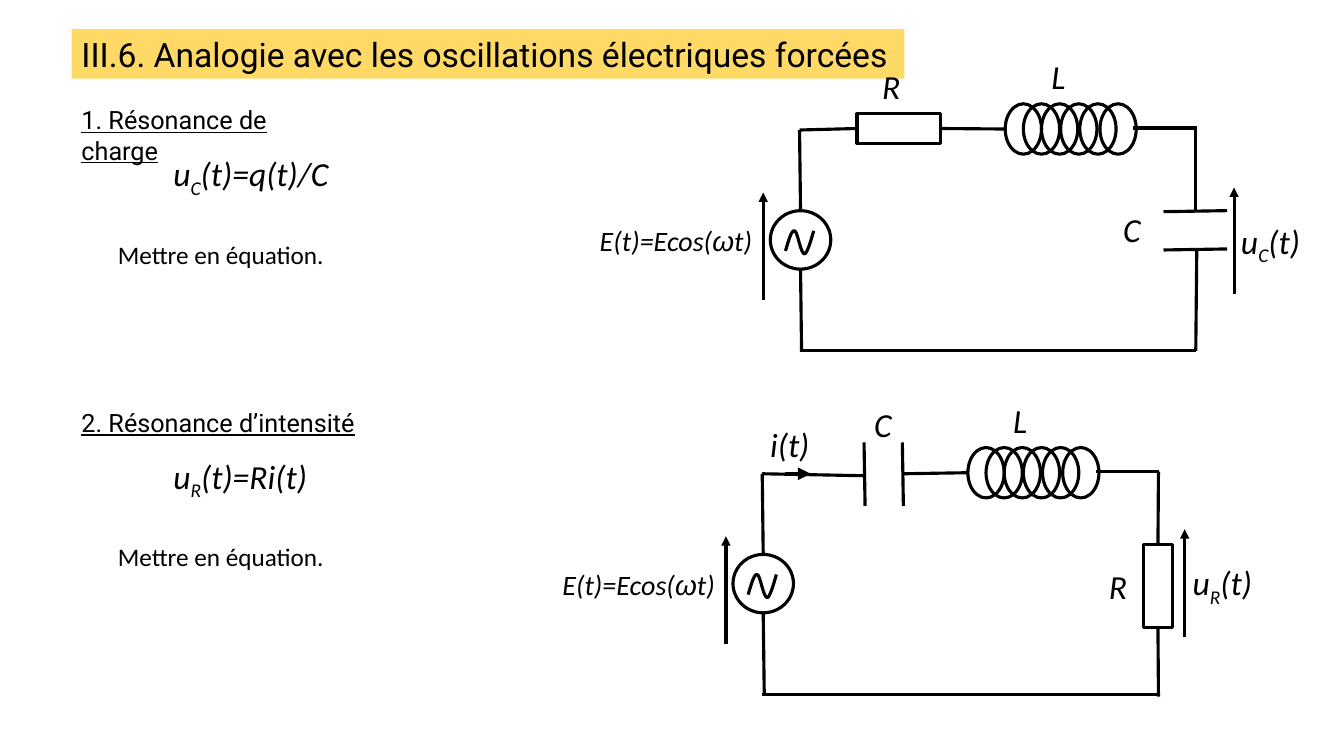
from lxml import etree
from pptx import Presentation
from pptx.dml.color import RGBColor
from pptx.enum.shapes import MSO_CONNECTOR, MSO_SHAPE
from pptx.oxml.ns import qn
from pptx.util import Inches, Pt

STRAIGHT = MSO_CONNECTOR.STRAIGHT
RECT, OVAL = MSO_SHAPE.RECTANGLE, MSO_SHAPE.OVAL
BLACK = RGBColor(0, 0, 0)
YELLOW = RGBColor(0xFF, 0xD9, 0x66)
TOP, LEFT, BOTTOM, RIGHT = range(4)

TITLE = "III.6. Analogie avec les oscillations électriques forcées"
HEADINGS = [
    (0.71, 0.99, 2.7, "1. Résonance de charge"),
    (0.71, 3.99, 3.0, "2. Résonance d’intensité"),
]
NOTES = [(1.07, y, 2.38, "Mettre en équation.") for y in (2.32, 5.32)]
SYMBOLS = [
    (8.65, 0.6, 0.49, ["R"]),
    (10.33, 0.51, 0.46, ["L"]),
    (11.04, 2.02, 0.51, ["C"]),
    (12.21, 2.14, 1.12, ["u", "C", "(t)"]),
    (1.62, 1.47, 2.19, ["u", "C", "(t)=q(t)/C"]),
    (10.9, 5.56, 0.49, ["R"]),
    (9.95, 3.92, 0.46, ["L"]),
    (8.57, 3.96, 0.51, ["C"]),
    (11.73, 5.53, 1.12, ["u", "R", "(t)"]),
    (1.62, 4.47, 1.92, ["u", "R", "(t)=Ri(t)"]),
    (7.54, 4.16, 0.7, ["i(t)"]),
]
SOURCE_LABEL = ["E(t)=Ecos(", "ω", "t)"]
CIRCUITS = [(0, 0), (-0.37, 3.41)]
COIL_X = [9.97, 10.15, 10.33, 10.52, 10.71, 10.91]
COMMON_WIRES = [
    ((7.94, 2.09), (7.93, 1.29)),
    ((7.95, 3.48), (7.94, 2.68)),
    ((11.87, 1.27), (11.24, 1.27)),
    ((7.93, 3.48), (11.86, 3.48)),
]
CAPACITOR_WIRES = [
    ((11.86, 2.09), (11.86, 1.27)),
    ((11.86, 3.48), (11.87, 2.48)),
    ((8.58, 4.72), (7.56, 4.7)),
    ((9.59, 4.69), (8.96, 4.7)),
]
PLATES = [
    ((12.17, 2.09), (11.54, 2.1)),
    ((12.17, 2.47), (11.54, 2.48)),
    ((8.57, 4.39), (8.58, 5.02)),
    ((8.95, 4.39), (8.96, 5.02)),
]
VOLTAGE_ARROWS = [((12.24, 2.92), (12.24, 1.86)), ((11.75, 6.32), (11.75, 5.25))]
CURRENT_ARROW = ((7.79, 4.7), (8.04, 4.7))
RESISTORS = [
    ((8.5, 1.13, 0.83, 0.29), [((7.93, 1.29), LEFT), ((9.97, 1.28), RIGHT)]),
    ((11.34, 5.4, 0.29, 0.83), [((11.49, 4.68), TOP), ((11.49, 6.91), BOTTOM)]),
]
SINE_START = (7.79, 2.49)
SINE_CURVES = [
    ((7.82, 2.39), (7.85, 2.28), (7.88, 2.29)),
    ((7.91, 2.29), (7.94, 2.52), (7.98, 2.52)),
    ((8.01, 2.52), (8.07, 2.29), (8.07, 2.29)),
]

prs = Presentation()
prs.slide_width, prs.slide_height = Inches(13.33), Inches(7.5)
s = prs.slides.add_slide(prs.slide_layouts[6])


def inches(*values):
    return [Inches(v) for v in values]


def outline(sp):
    sp.shadow.inherit = False
    sp.fill.background()
    sp.line.color.rgb = BLACK
    sp.line.width = Pt(2.25)
    return sp


def shape(parent, kind, x, y, w, h):
    return outline(parent.shapes.add_shape(kind, *inches(x, y, w, h)))


def line(start, end, dx=0, dy=0, width=2.25, arrow=False):
    points = inches(start[0] + dx, start[1] + dy, end[0] + dx, end[1] + dy)
    c = s.shapes.add_connector(STRAIGHT, *points)
    c.line.color.rgb = BLACK
    c.line.width = Pt(width)
    if arrow:
        etree.SubElement(c.line._get_or_add_ln(), qn("a:tailEnd"), type="triangle")
    etree.SubElement(c._element.spPr, qn("a:effectLst"))
    return c


def text(x, y, w, h, parts, size, font="Calibri", italic=False, underline=False):
    sp = s.shapes.add_textbox(*inches(x, y, w, h))
    tf = sp.text_frame
    tf.word_wrap = True
    for part in parts:
        r = tf.paragraphs[0].add_run()
        r.text = part
        r.font.size = Pt(size)
        r.font.name = font
        r.font.color.rgb = BLACK
        r.font.italic = italic
        r.font.underline = underline
    return sp


def bezier(p0, p1, p2, p3, steps=8):
    for i in range(1, steps + 1):
        t = i / steps
        u = 1 - t
        yield tuple(u**3 * a + 3 * u * u * t * b + 3 * u * t * t * c + t**3 * d
                    for a, b, c, d in zip(p0, p1, p2, p3))


def sine(dx, dy):
    points, start = [], SINE_START
    for curve in SINE_CURVES:
        points += bezier(start, *curve)
        start = curve[-1]
    x, y = inches(SINE_START[0] + dx, SINE_START[1] + dy)
    fb = s.shapes.build_freeform(x, y)
    fb.add_line_segments([inches(px + dx, py + dy) for px, py in points], close=False)
    outline(fb.convert_to_shape())


def circuit(dx, dy):
    shape(s, OVAL, 7.64 + dx, 2.09 + dy, 0.6, 0.58)
    sine(dx, dy)
    coil = s.shapes.add_group_shape()
    for x in COIL_X:
        shape(coil, OVAL, x + dx, 1.03 + dy, 0.36, 0.5)
    for start, end in COMMON_WIRES:
        line(start, end, dx, dy)
    line((7.57, 2.98), (7.57, 1.91), dx, dy, arrow=True)
    label = text(5.85 + dx, 2.17 + dy, 2.07, 0.43, SOURCE_LABEL, 20, italic=True)
    label.text_frame.paragraphs[0].runs[1].font.name = "Arial"


title = text(0.71, 0.29, 8.26, 0.49, [TITLE], 24, "Roboto")
title.fill.solid()
title.fill.fore_color.rgb = YELLOW

for offset in CIRCUITS:
    circuit(*offset)
for box, leads in RESISTORS:
    resistor = shape(s, RECT, *box)
    for start, side in leads:
        line(start, start).end_connect(resistor, side)
for start, end in CAPACITOR_WIRES + PLATES:
    line(start, end)
for start, end in VOLTAGE_ARROWS:
    line(start, end, arrow=True)
line(*CURRENT_ARROW, width=3, arrow=True)

for x, y, w, heading in HEADINGS:
    text(x, y, w, 0.39, [heading], 18, "Roboto", underline=True)
for x, y, w, note in NOTES:
    text(x, y, w, 0.39, [note], 18)
for x, y, w, parts in SYMBOLS:
    sp = text(x, y, w, 0.49, parts, 24, italic=True)
    for r in sp.text_frame.paragraphs[0].runs[1:2]:
        r.font._element.set("baseline", "-25000")

prs.save("out.pptx")
